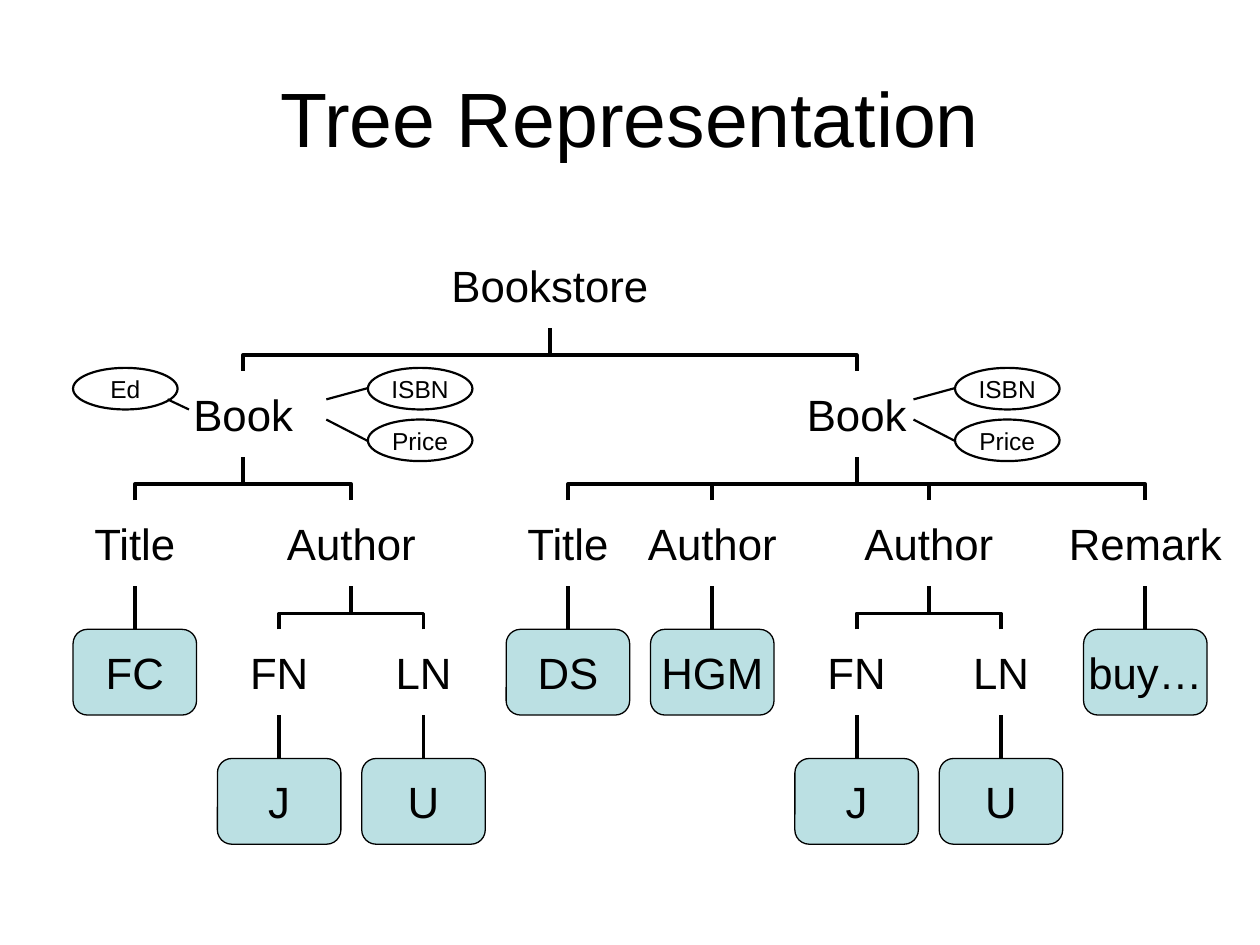
from dataclasses import dataclass

from lxml import etree
from pptx import Presentation
from pptx.dml.color import RGBColor
from pptx.enum.shapes import MSO_CONNECTOR, MSO_SHAPE
from pptx.enum.text import MSO_ANCHOR, PP_ALIGN
from pptx.oxml.ns import qn
from pptx.util import Inches, Pt

STRAIGHT, ELBOW = MSO_CONNECTOR.STRAIGHT, MSO_CONNECTOR.ELBOW
ROUNDED, OVAL = MSO_SHAPE.ROUNDED_RECTANGLE, MSO_SHAPE.OVAL
CENTER, MIDDLE = PP_ALIGN.CENTER, MSO_ANCHOR.MIDDLE
TOP_SITE, BOTTOM_SITE = 0, 2


@dataclass(frozen=True)
class Theme:
    font: str = "Arial"
    ink: RGBColor = RGBColor(0x00, 0x00, 0x00)
    value_fill: RGBColor = RGBColor(0xBB, 0xE0, 0xE3)
    title_size: float = 44
    node_size: float = 25
    attribute_size: float = 14
    branch_width: float = 2.25
    attribute_width: float = 1.25
    value_width: float = 0.75


THEME = Theme()

# Grid in inches: one column per value, one row per tree level
FIRST_CENTER, LAST_CENTER, COLUMNS = 1.07, 9.09, 8
COLUMN_PITCH = (LAST_CENTER - FIRST_CENTER) / (COLUMNS - 1)
FIRST_ROW, ROW_PITCH = 1.92, 1.025
NODE_W, NODE_H = 0.98, 0.68
ATTRIBUTE_W, ATTRIBUTE_H = 0.83, 0.33
BEND = 0.364  # share of the way from child up to parent

# (label, children); a node without children is a value
NAME_PARTS = [("FN", [("J", [])]), ("LN", [("U", [])])]
TREE = ("Bookstore", [
    ("Book", [
        ("Title", [("FC", [])]),
        ("Author", NAME_PARTS),
    ]),
    ("Book", [
        ("Title", [("DS", [])]),
        ("Author", [("HGM", [])]),
        ("Author", NAME_PARTS),
        ("Remark", [("buy…", [])]),
    ]),
])

# Each group: attributes as (label, left, top, line start, line end)
ATTRIBUTE_GROUPS = [
    [("ISBN", left, 2.92, (left, 3.08), (left - 0.33, 3.17)),
     ("Price", left, 3.33, (left, 3.5), (left - 0.33, 3.33))]
    for left in (2.92, 7.58)
] + [[("Ed", 0.58, 2.92, (1.5, 3.25), (1.33, 3.17))]]


def write(frame, text, *, size, wrap=False, margins=(0.1, 0.05)):
    frame.word_wrap = wrap
    frame.vertical_anchor = MIDDLE
    frame.margin_left = frame.margin_right = Inches(margins[0])
    frame.margin_top = frame.margin_bottom = Inches(margins[1])
    paragraph = frame.paragraphs[0]
    paragraph.alignment = CENTER
    run = paragraph.add_run()
    run.text = text
    run.font.name = THEME.font
    run.font.size = Pt(size)
    run.font.color.rgb = THEME.ink


def add_outline(shape, width):
    shape.line.color.rgb = THEME.ink
    shape.line.width = Pt(width)


def add_line(shapes, kind, start, end, width):
    line = shapes.add_connector(kind, *start, *end)
    add_outline(line, width)
    etree.SubElement(line.element.spPr, qn("a:effectLst"))
    return line


def add_node(shapes, label, column, level, is_value):
    center = FIRST_CENTER + column * COLUMN_PITCH
    node = shapes.add_shape(
        ROUNDED, Inches(center - NODE_W / 2), Inches(FIRST_ROW + level * ROW_PITCH),
        Inches(NODE_W), Inches(NODE_H))
    node.shadow.inherit = False
    if is_value:
        node.fill.solid()
        node.fill.fore_color.rgb = THEME.value_fill
        add_outline(node, THEME.value_width)
    else:
        node.fill.background()
        node.line.fill.background()
    write(node.text_frame, label, size=THEME.node_size, margins=(0, 0))
    return node


def turn_upright(elbow):
    """Make an upward elbow leave and arrive vertically instead of sideways."""
    goes_right = elbow.end_x > elbow.begin_x
    left, top, width, height = elbow.left, elbow.top, elbow.width, elbow.height
    frame = elbow.element.spPr.find(qn("a:xfrm"))
    for flag in ("flipH", "flipV"):
        frame.attrib.pop(flag, None)
    frame.set("rot", str((90 if goes_right else 270) * 60000))
    frame.set("flipV", "1")
    if goes_right:
        frame.set("flipH", "1")
    elbow.left = left + (width - height) // 2
    elbow.top = top + (height - width) // 2
    elbow.width, elbow.height = height, width
    elbow.element.spPr.prstGeom.rewrite_guides([("adj1", round(BEND * 100000))])


def add_branch(shapes, child, parent):
    offset = child.left - parent.left
    aligned = abs(offset) < Inches(0.01)
    branch = add_line(shapes, STRAIGHT if aligned else ELBOW,
                      (0, 0), (0, 0), THEME.branch_width)
    branch.begin_connect(child, TOP_SITE)
    branch.end_connect(parent, BOTTOM_SITE)
    if not aligned:
        turn_upright(branch)


def add_tree(shapes, tree, free_columns, level=0):
    """Draw a subtree; return its root node and the column of that node."""
    label, children = tree
    placed = [add_tree(shapes, child, free_columns, level + 1) for child in children]
    if placed:
        column = (placed[0][1] + placed[-1][1]) / 2
    else:
        column = next(free_columns)
    node = add_node(shapes, label, column, level, not children)
    for child, _ in placed:
        add_branch(shapes, child, node)
    return node, column


def add_attributes(slide, attributes):
    shapes = slide.shapes.add_group_shape().shapes
    for label, left, top, start, end in attributes:
        oval = shapes.add_shape(OVAL, Inches(left), Inches(top),
                                Inches(ATTRIBUTE_W), Inches(ATTRIBUTE_H))
        oval.shadow.inherit = False
        oval.fill.background()
        add_outline(oval, THEME.attribute_width)
        write(oval.text_frame, label, size=THEME.attribute_size)
        add_line(shapes, STRAIGHT, map(Inches, start), map(Inches, end),
                 THEME.attribute_width)


def add_title(slide, text):
    title = slide.shapes.title
    title.left, title.top = Inches(0.5), Inches(0.3)
    title.width, title.height = Inches(9), Inches(1.25)
    write(title.text_frame, text, size=THEME.title_size, wrap=True)


def main():
    deck = Presentation()
    deck.slide_width, deck.slide_height = Inches(10), Inches(7.5)
    slide = deck.slides.add_slide(deck.slide_layouts.get_by_name("Title Only"))
    add_title(slide, "Tree Representation")
    add_tree(slide.shapes, TREE, iter(range(COLUMNS)))
    for attributes in ATTRIBUTE_GROUPS:
        add_attributes(slide, attributes)
    deck.save("out.pptx")


if __name__ == "__main__":
    main()
